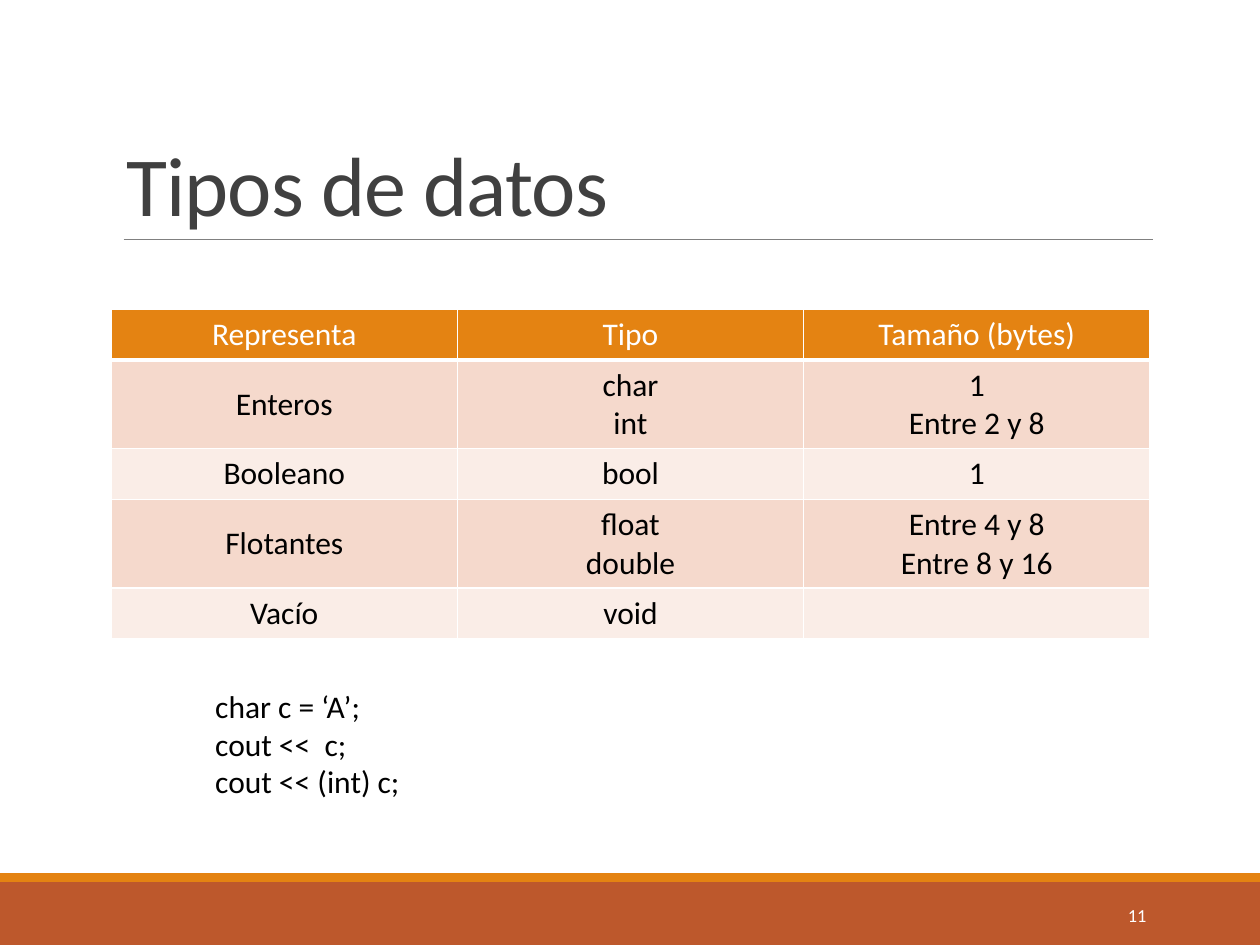
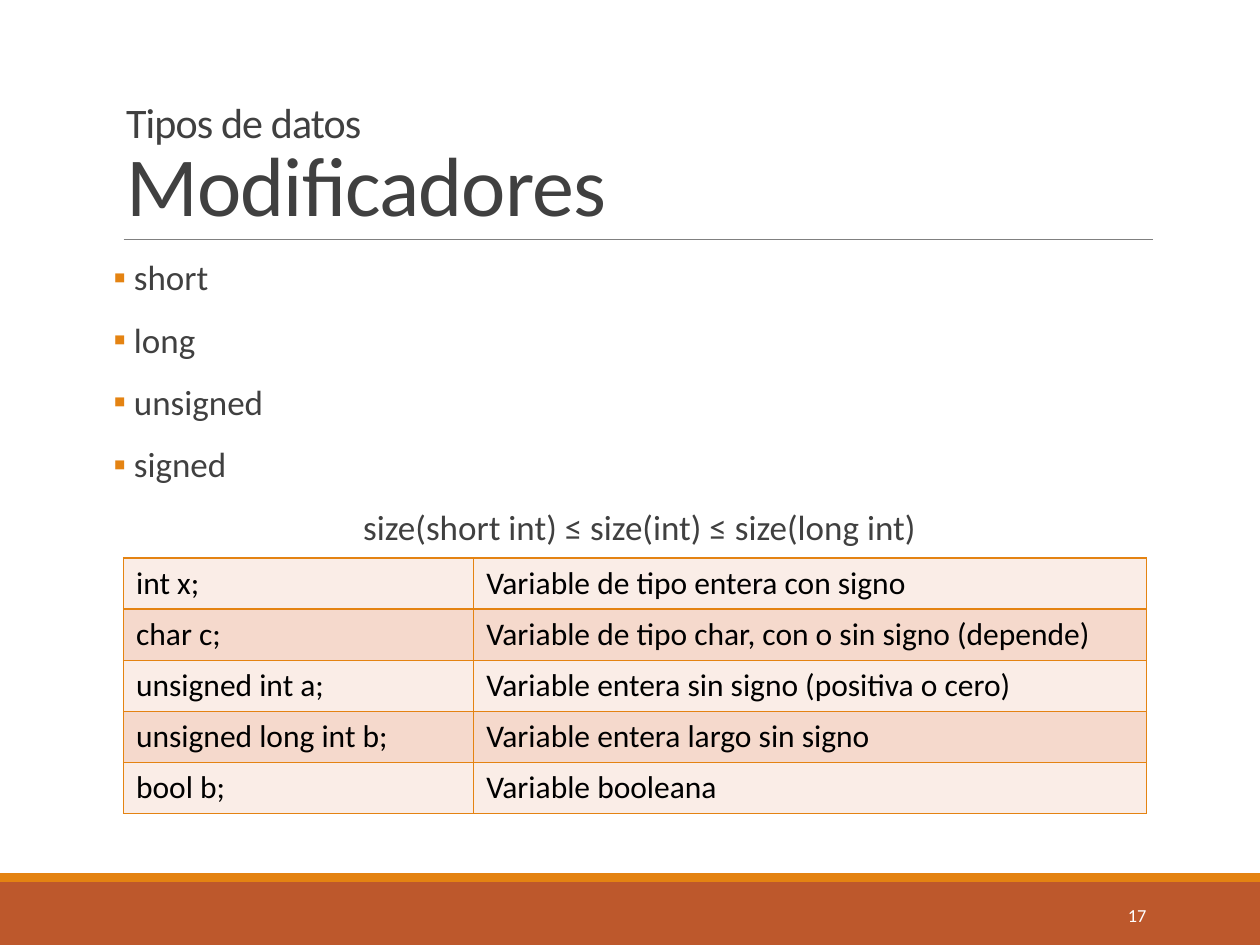
import dataclasses
import lxml.etree
import pptx
import pptx.util
import pptx.dml.color
import pptx.enum.text
import pptx.enum.shapes
import pptx.oxml.ns

Cm, Pt = pptx.util.Cm, pptx.util.Pt
rgb = pptx.dml.color.RGBColor.from_string
qn = pptx.oxml.ns.qn
Align = pptx.enum.text.PP_ALIGN
Anchor = pptx.enum.text.MSO_ANCHOR
Form = pptx.enum.shapes.MSO_SHAPE


@dataclasses.dataclass
class Theme:
    font: str = "Calibri"
    rust: str = "BD582C"
    gold: str = "E48312"
    rule: str = "808080"
    gray: str = "404040"
    ink: str = "000000"
    white: str = "FFFFFF"
    rose: str = "F5D9CC"
    pale: str = "FAEDE7"
    head: int = 48
    sub: int = 24
    body: int = 20
    text: int = 18
    page: float = 10.5


theme = Theme()


def write(para, text, size, color, **form):
    """Add a run to a paragraph and apply paragraph formats."""
    for key, value in form.items():
        setattr(para, key, value)
    run = para.add_run()
    run.text = text
    for key, value in {"name": theme.font, "size": Pt(size)}.items():
        setattr(run.font, key, value)
    run.font.color.rgb = rgb(color)
    return run


def grid(slide, rows, left, top, widths, heights, fills, edge, align, header=False):
    """Add a table; each cell is a text whose lines become paragraphs."""
    table = slide.shapes.add_table(len(rows), len(widths), Cm(left), Cm(top),
                                   Cm(sum(widths)), Cm(sum(heights))).table
    table.first_row = header
    table.horz_banding = False
    for col, width in zip(table.columns, widths):
        col.width = Cm(width)
    for r, row in enumerate(rows):
        table.rows[r].height = Cm(heights[r])
        for c, text in enumerate(row):
            cell = table.cell(r, c)
            cell.vertical_anchor = Anchor.MIDDLE
            # Borders, with a thick one under the header
            props = cell._tc.get_or_add_tcPr()
            for side in "LRTB":
                thick = header and (r, side) in ((0, "B"), (1, "T"))
                line = lxml.etree.SubElement(props, qn("a:ln" + side),
                                             w=str(Pt(3 if thick else 1)))
                fill = lxml.etree.SubElement(line, qn("a:solidFill"))
                lxml.etree.SubElement(fill, qn("a:srgbClr"), val=edge)
            cell.fill.solid()
            cell.fill.fore_color.rgb = rgb(fills[r])
            # Cell text
            color = theme.white if header and r == 0 else theme.ink
            for i, part in enumerate(text.split("\n") if text else []):
                frame = cell.text_frame
                para = frame.add_paragraph() if i else frame.paragraphs[0]
                write(para, part, theme.text, color, alignment=align)


deck = pptx.Presentation()
deck.slide_width, deck.slide_height = Cm(25.4), Cm(19.05)

# Shared frame: bands, rule, title and page number
pages = [
    ([("Tipos de datos", theme.head)], "11"),
    ([("Tipos de datos", theme.sub), ("Modificadores", theme.head)], "17"),
]
for heads, number in pages:
    slide = deck.slides.add_slide(deck.slide_layouts[5])
    for top, height, color in ((17.78, 1.27, theme.rust), (17.6, 0.18, theme.gold)):
        band = slide.shapes.add_shape(Form.RECTANGLE, 0, Cm(top), deck.slide_width, Cm(height))
        band.shadow.inherit = False
        band.fill.solid()
        band.fill.fore_color.rgb = rgb(color)
        band.line.fill.background()

    rule = slide.shapes.add_connector(pptx.enum.shapes.MSO_CONNECTOR.STRAIGHT,
                                      Cm(2.49), Cm(4.83), Cm(23.24), Cm(4.83))
    rule.line.color.rgb = rgb(theme.rule)
    rule.line.width = Pt(0.5)
    lxml.etree.SubElement(rule._element.spPr, qn("a:effectLst"))

    title = slide.shapes.title
    place = {"left": Cm(2.29), "top": Cm(0.79), "width": Cm(20.96), "height": Cm(4.04)}
    for key, value in place.items():
        setattr(title, key, value)
    frame = title.text_frame
    frame.auto_size = pptx.enum.text.MSO_AUTO_SIZE.NONE
    frame.vertical_anchor = Anchor.BOTTOM
    para = frame.paragraphs[0]
    for i, (text, size) in enumerate(heads):
        if i:
            para.add_line_break()
            lxml.etree.SubElement(para._p[-1], qn("a:rPr"), sz=str(theme.sub * 100))
        run = write(para, text, size, theme.gray, alignment=Align.LEFT, line_spacing=0.85)
        run.font._element.set("spc", "-50")

    box = slide.shapes.add_textbox(Cm(20.62), Cm(17.93), Cm(2.74), Cm(1.02))
    box.text_frame.word_wrap = True
    box.text_frame.vertical_anchor = Anchor.MIDDLE
    write(box.text_frame.paragraphs[0], number, theme.page, theme.white, alignment=Align.RIGHT)

types, mods = deck.slides

# Data types: table
rows = [
    ("Representa", "Tipo", "Tamaño (bytes)"),
    ("Enteros", "char\nint", "1\nEntre 2 y 8"),
    ("Booleano", "bool", "1"),
    ("Flotantes", "float\ndouble", "Entre 4 y 8\nEntre 8 y 16"),
    ("Vacío", "void", ""),
]
grid(types, rows, 2.24, 6.23, [6.98] * 3, [1.03, 1.78, 1.03, 1.78, 1.03],
     [theme.gold] + [theme.rose, theme.pale] * 2, theme.white, Align.CENTER, header=True)

# Data types: code sample
box = types.shapes.add_textbox(Cm(4.09), Cm(13.72), Cm(9.14), Cm(2.57))
box.text_frame.word_wrap = True
for i, text in enumerate(("char c = ‘A’;", "cout <<  c;", "cout << (int) c;")):
    para = box.text_frame.add_paragraph() if i else box.text_frame.paragraphs[0]
    write(para, text, theme.text, theme.ink)

# Modifiers: bulleted list and centred size rule
box = mods.shapes.add_textbox(Cm(2.29), Cm(5.13), Cm(20.96), Cm(11.18))
frame = box.text_frame
frame.word_wrap = True
frame.margin_left = frame.margin_right = 0
space = {"line_spacing": 0.9, "space_before": Pt(12), "space_after": Pt(2)}
for i, text in enumerate(("short", "long", "unsigned", "signed")):
    para = frame.add_paragraph() if i else frame.paragraphs[0]
    write(para, text, theme.body, theme.gray, **space)
    props = para._p.get_or_add_pPr()
    props.set("marL", str(Cm(0.41)))
    props.set("indent", str(Cm(-0.41)))
    tint = lxml.etree.SubElement(props, qn("a:buClr"))
    lxml.etree.SubElement(tint, qn("a:srgbClr"), val=theme.gold)
    lxml.etree.SubElement(props, qn("a:buFont"), typeface=theme.font)
    lxml.etree.SubElement(props, qn("a:buChar"), char="▪")
para = frame.add_paragraph()
write(para, "size(short int) ≤ size(int) ≤ size(long int)", theme.body, theme.gray,
      alignment=Align.CENTER, **space)
para._p.get_or_add_pPr().set("marL", str(Cm(0.25)))

# Modifiers: table of declarations
rows = [
    ("int x;", "Variable de tipo entera con signo"),
    ("char c;", "Variable de tipo char, con o sin signo (depende)"),
    ("unsigned int a;", "Variable entera sin signo (positiva o cero)"),
    ("unsigned long int b;", "Variable entera largo sin signo"),
    ("bool b;", "Variable booleana"),
]
grid(mods, rows, 2.49, 11.25, [7.06, 13.56], [1.03] * 5,
     [theme.pale, theme.rose] * 2 + [theme.pale], theme.gold, Align.LEFT)

deck.save("out.pptx")
